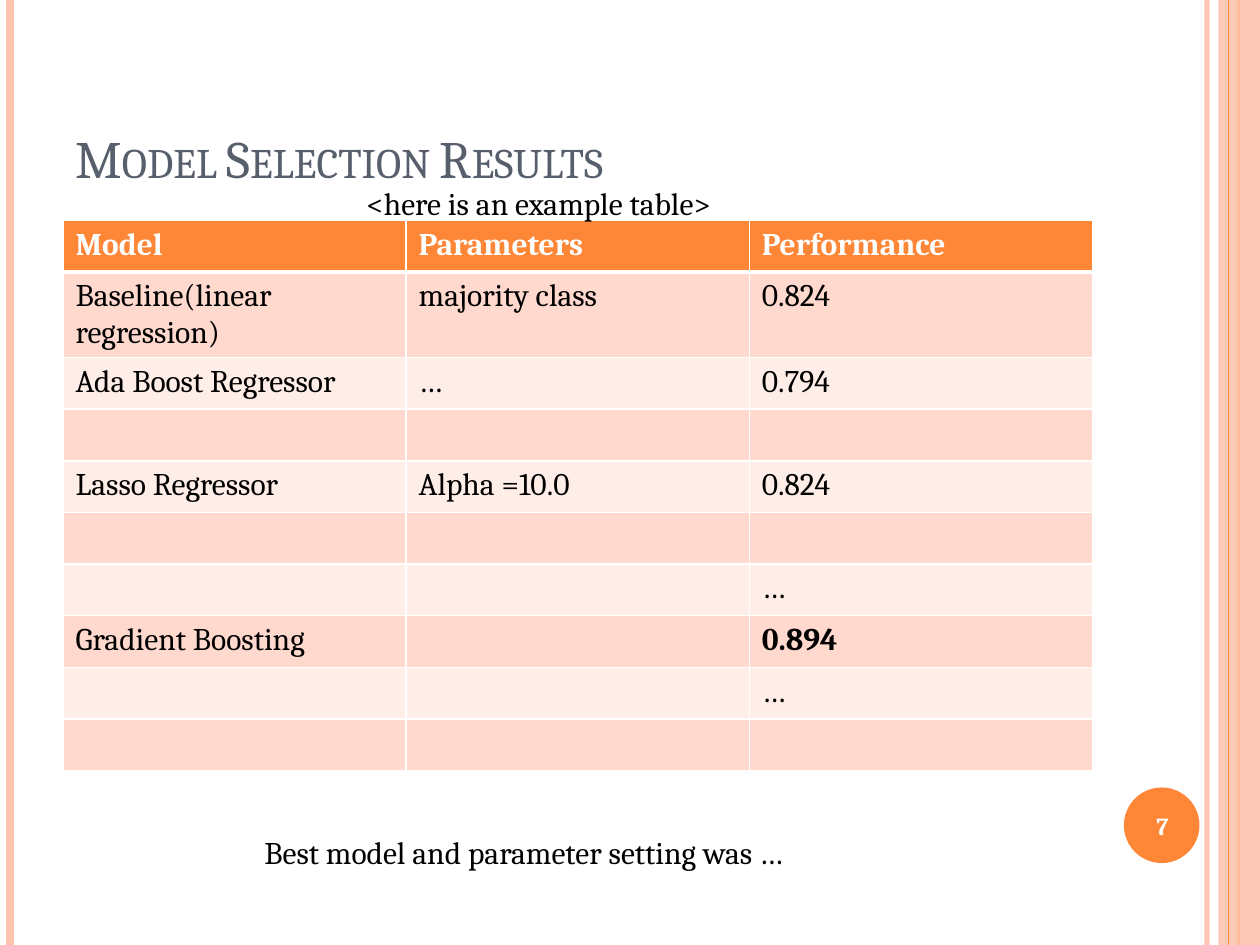
from lxml.etree import SubElement
from pptx import Presentation
from pptx.dml.color import RGBColor
from pptx.enum.shapes import MSO_CONNECTOR, MSO_SHAPE
from pptx.enum.text import MSO_ANCHOR, MSO_AUTO_SIZE, PP_ALIGN
from pptx.oxml.ns import qn
from pptx.util import Inches, Pt

FONT = "Cambria"
ORANGE = RGBColor(0xFE, 0x86, 0x37)
PEACH = RGBColor(0xFE, 0xC3, 0xAE)
SLATE = RGBColor(0x57, 0x5F, 0x6D)
BAND_DARK = RGBColor(0xFF, 0xD9, 0xCE)
BAND_LIGHT = RGBColor(0xFF, 0xED, 0xE8)
WHITE = RGBColor(0xFF, 0xFF, 0xFF)
BLACK = RGBColor(0, 0, 0)

SLIDE_WIDTH, SLIDE_HEIGHT = 10, 7.5
ROW_HEIGHT = 0.41
BEST_SCORE = "0.894"
RESULTS = [
    ("Model", "Parameters", "Performance"),
    ("Baseline(linear regression)", "majority class", "0.824"),
    ("Ada Boost Regressor", "…", "0.794"),
    ("", "", ""),
    ("Lasso Regressor", "Alpha =10.0", "0.824"),
    ("", "", ""),
    ("", "", "…"),
    ("Gradient Boosting", "", BEST_SCORE),
    ("", "", "…"),
    ("", "", ""),
]


def set_alpha(properties, percent):
    """Make the first solid colour below an XML element partly transparent."""
    color = properties.find(".//" + qn("a:srgbClr"))
    SubElement(color, qn("a:alpha"), val=str(percent * 1000))


def write_text(frame, text, size=18, color=BLACK, bold=False, align=PP_ALIGN.LEFT,
               small_caps=False):
    """Write one formatted paragraph into a text frame."""
    paragraph = frame.paragraphs[0]
    paragraph.alignment = align
    run = paragraph.add_run()
    run.text = text
    run.font.name = FONT
    run.font.size = Pt(size)
    run.font.bold = bold
    run.font.color.rgb = color
    if small_caps:
        run.font._element.set("cap", "small")


def add_text(slide, text, left, top, width, height, anchor=MSO_ANCHOR.TOP, wrap=True,
             **text_format):
    """Add a text box that either wraps or grows with its text."""
    frame = slide.shapes.add_textbox(
        Inches(left), Inches(top), Inches(width), Inches(height)).text_frame
    frame.word_wrap = wrap
    frame.auto_size = MSO_AUTO_SIZE.NONE if wrap else MSO_AUTO_SIZE.SHAPE_TO_FIT_TEXT
    frame.vertical_anchor = anchor
    write_text(frame, text, **text_format)


def add_vertical_line(slide, x, color, weight, alpha=100):
    """Add a line over the full height of the slide."""
    line = slide.shapes.add_connector(
        MSO_CONNECTOR.STRAIGHT, Inches(x), 0, Inches(x), Inches(SLIDE_HEIGHT))
    line.line.color.rgb = color
    line.line.width = Pt(weight)
    properties = line._element.spPr
    SubElement(properties, qn("a:effectLst"))
    if alpha < 100:
        set_alpha(properties, alpha)


def add_filled_shape(slide, kind, left, top, width, height, color, alpha=100):
    """Add a preset shape with a plain fill and no outline."""
    shape = slide.shapes.add_shape(
        kind, Inches(left), Inches(top), Inches(width), Inches(height))
    shape.shadow.inherit = False
    shape.fill.solid()
    shape.fill.fore_color.rgb = color
    shape.line.fill.background()
    if alpha < 100:
        set_alpha(shape._element.spPr, alpha)


def set_borders(cell, top, bottom):
    """Give a cell white borders, with the top and bottom weights in points."""
    properties = cell._tc.get_or_add_tcPr()
    for side, weight in (("L", 1), ("R", 1), ("T", top), ("B", bottom)):
        border = SubElement(properties, qn(f"a:ln{side}"), w=str(Pt(weight)))
        fill = SubElement(border, qn("a:solidFill"))
        SubElement(fill, qn("a:srgbClr"), val=str(WHITE))


def add_results_table(slide):
    """Add the banded table of models, parameters and scores."""
    table = slide.shapes.add_table(
        len(RESULTS), len(RESULTS[0]), Inches(0.5), Inches(1.75),
        Inches(8.17), Inches(ROW_HEIGHT * len(RESULTS))).table
    for row_index, values in enumerate(RESULTS):
        header = row_index == 0
        band = BAND_DARK if row_index % 2 else BAND_LIGHT
        table.rows[row_index].height = Inches(ROW_HEIGHT)
        for column_index, value in enumerate(values):
            cell = table.cell(row_index, column_index)
            set_borders(cell, top=3 if row_index == 1 else 1, bottom=3 if header else 1)
            cell.fill.solid()
            cell.fill.fore_color.rgb = ORANGE if header else band
            if value:
                write_text(cell.text_frame, value, color=WHITE if header else BLACK,
                           bold=header or value == BEST_SCORE)


def add_decoration(slide):
    """Add the edge stripes and the disc behind the page number."""
    add_vertical_line(slide, 9.58, PEACH, 3, alpha=93)
    add_vertical_line(slide, 0.08, PEACH, 4.5)
    add_vertical_line(slide, 9.83, ORANGE, 1.5)
    add_filled_shape(slide, MSO_SHAPE.RECTANGLE, 9.67, 0, 0.33, SLIDE_HEIGHT, PEACH, alpha=87)
    add_vertical_line(slide, 9.75, ORANGE, 0.75)
    add_filled_shape(slide, MSO_SHAPE.OVAL, 8.92, 6.25, 0.6, 0.6, ORANGE)


def main():
    """Build the model selection slide and save it."""
    presentation = Presentation()
    presentation.slide_width = Inches(SLIDE_WIDTH)
    presentation.slide_height = Inches(SLIDE_HEIGHT)
    slide = presentation.slides.add_slide(presentation.slide_layouts[6])
    add_decoration(slide)
    add_text(slide, "Model Selection Results", 0.5, 0.3, 8.17, 1.25,
             anchor=MSO_ANCHOR.BOTTOM, size=30, color=SLATE, small_caps=True)
    add_results_table(slide)
    add_text(slide, "7", 8.89, 6.27, 0.67, 0.57, anchor=MSO_ANCHOR.MIDDLE,
             size=14, color=WHITE, bold=True, align=PP_ALIGN.CENTER)
    add_text(slide, "Best model and parameter setting was …", 2, 6.56, 4.99, 0.4, wrap=False)
    add_text(slide, "<here is an example table>", 2.81, 1.41, 3.36, 0.4, wrap=False)
    presentation.save("out.pptx")


if __name__ == "__main__":
    main()
